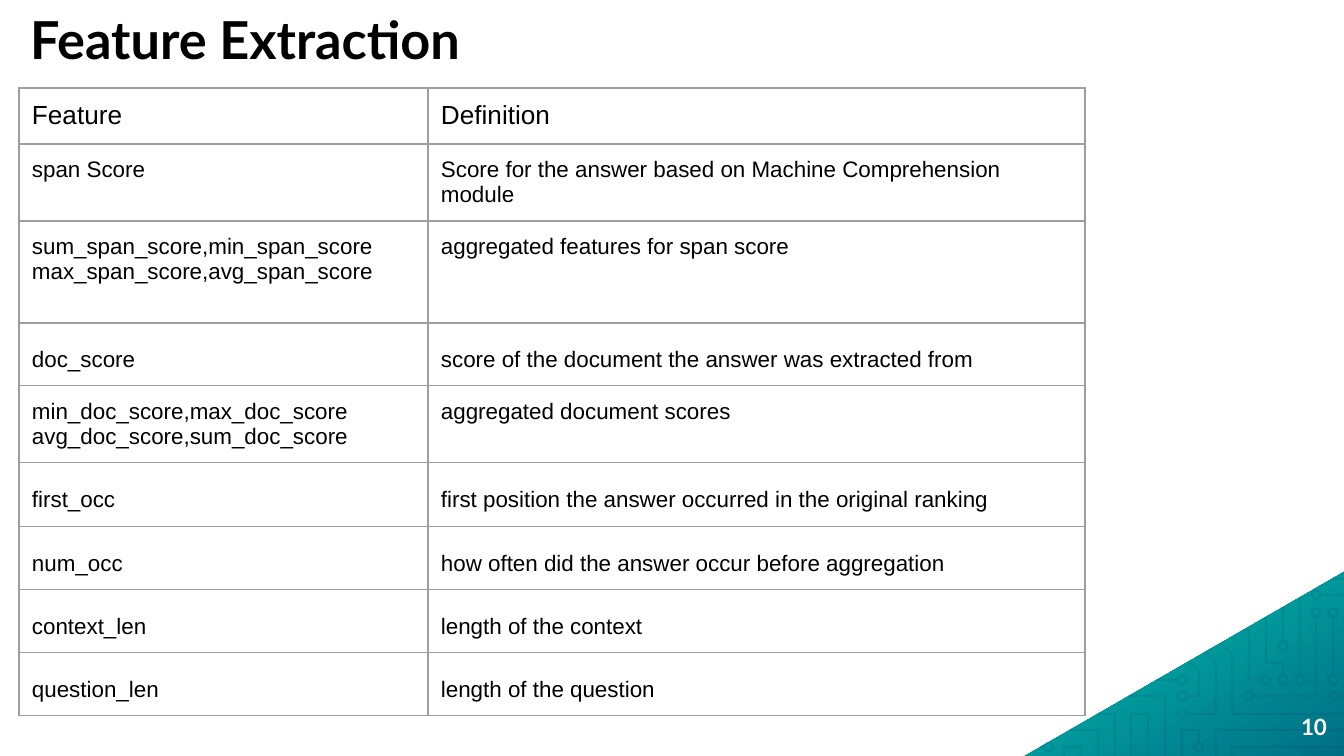
from math import cos, pi, sin
from lxml.etree import SubElement
from pptx import Presentation
from pptx.dml.color import RGBColor
from pptx.enum.text import MSO_ANCHOR as Anchor, MSO_AUTO_SIZE as AutoSize, PP_ALIGN as Align
from pptx.oxml.ns import qn
from pptx.util import Emu, Pt

PX = 914400 / 134.4

ROWS = [
    (56, "Feature", "Definition"),
    (77, "span Score", "Score for the answer based on Machine Comprehension module"),
    (102, "sum_span_score,min_span_score\nmax_span_score,avg_span_score",
     "aggregated features for span score"),
    (63, "doc_score", "score of the document the answer was extracted from"),
    (77, "min_doc_score,max_doc_score\navg_doc_score,sum_doc_score",
     "aggregated document scores"),
    (64, "first_occ", "first position the answer occurred in the original ranking"),
    (63, "num_occ", "how often did the answer occur before aggregation"),
    (63, "context_len", "length of the context"),
    (63, "question_len", "length of the question"),
]
SPACED = {"doc_score", "first_occ", "num_occ", "context_len", "question_len"}

TRIANGLE = [(1344, 572), (1025, 756), (1344, 756)]
TRACES = [
    [(1338, 696), (1344, 696)],
    [(1283, 675), (1283, 663), (1266, 663), (1266, 618)],
    [(1261, 680), (1249, 680), (1249, 630), (1243, 630)],
    [(1283, 641), (1283, 607)],
    [(1232, 756), (1232, 747), (1344, 747)],
    [(1331, 579), (1344, 579)],
    [(1321, 595), (1344, 595)],
    [(1300, 675), (1300, 598)],
    [(1333, 675), (1333, 618)],
    [(1254, 696), (1316, 696), (1316, 618)],
    [(1187, 696), (1199, 696), (1199, 671), (1189, 662)],
    [(1131, 756), (1131, 714), (1148, 714), (1148, 756)],
    [(1128, 696), (1165, 696), (1165, 756)],
    [(1221, 643), (1232, 655), (1232, 714), (1344, 714)],
    [(1199, 742), (1199, 730), (1182, 730), (1182, 756)],
    [(1216, 756), (1216, 730), (1344, 730)],
    [(1187, 714), (1216, 714), (1216, 663), (1205, 652)],
    [(1043, 747), (1040, 747)],
    [(1098, 714), (1115, 714), (1115, 756)],
    [(1177, 680), (1156, 680)],
    [(1064, 756), (1064, 747), (1081, 747), (1081, 756)],
    [(1069, 730), (1098, 730), (1098, 756)],
]
PADS = [(1333, 696), (1283, 680), (1266, 680), (1283, 646), (1316, 595),
        (1300, 680), (1333, 680), (1333, 613), (1249, 696), (1316, 613),
        (1182, 696), (1199, 747), (1182, 714), (1048, 747), (1182, 680)]


def px(n):
    return Emu(round(n * PX))


def color(value):
    return RGBColor.from_string(value)


def ring(x, y, radius=4, steps=16):
    angles = [2 * pi * i / steps for i in range(steps + 1)]
    return [(x + radius * cos(a), y + radius * sin(a)) for a in angles]


def write(tf, text, font="Arial", size=12, fill="000000", bold=False,
          align=Align.LEFT, spacing=None, after=None):
    for i, line in enumerate(text.split("\n")):
        p = tf.add_paragraph() if i else tf.paragraphs[0]
        p.alignment = align
        if spacing:
            p.line_spacing = spacing
        if after:
            p.space_after = Pt(after)
        r = p.add_run()
        r.text = line
        r.font.name, r.font.size, r.font.bold = font, Pt(size), bold
        r.font.color.rgb = color(fill)


class Deck:
    heading_font = "Lato"
    border = "9E9E9E"
    trace = "00226D"
    gradient = [(0, "00CCA0"), (50, "00989A"), (100, "006E85")]

    def __init__(self, width, height):
        self.prs = Presentation()
        self.prs.slide_width, self.prs.slide_height = px(width), px(height)
        self.s = self.prs.slides.add_slide(self.prs.slide_layouts[5])

    def frame(self, sp, anchor):
        tf = sp.text_frame
        tf.word_wrap, tf.auto_size, tf.vertical_anchor = True, AutoSize.NONE, anchor
        tf.margin_left = tf.margin_right = tf.margin_top = tf.margin_bottom = 0
        return tf

    def title(self, text, x, y, w, h):
        sp = self.s.shapes.title
        sp.left, sp.top, sp.width, sp.height = map(px, (x, y, w, h))
        write(self.frame(sp, Anchor.TOP), text, font=self.heading_font,
              size=28, bold=True, spacing=0.9)

    def number(self, text, x, y, w, h):
        sp = self.s.shapes.add_textbox(*map(px, (x, y, w, h)))
        write(self.frame(sp, Anchor.MIDDLE), text, font=self.heading_font, fill="FFFFFF",
              bold=True, align=Align.RIGHT, spacing=0.9)

    def outline(self, contours, close):
        (start, *rest), *others = contours
        fb = self.s.shapes.build_freeform(*start, scale=PX)
        fb.add_line_segments(rest, close=close)
        for first, *points in others:
            fb.move_to(*first)
            fb.add_line_segments(points, close=close)
        sp = fb.convert_to_shape()
        sp.shadow.inherit = False
        return sp

    def corner(self, points):
        sp = self.outline([points], True)
        sp.line.fill.background()
        sp.fill.gradient()
        sp.fill.gradient_angle = 300
        stops = sp._element.spPr.find(".//" + qn("a:gsLst"))
        stops.clear()
        for pos, value in self.gradient:
            gs = SubElement(stops, qn("a:gs"), pos=str(pos * 1000))
            SubElement(gs, qn("a:srgbClr"), val=value)

    def circuit(self, traces, pads):
        sp = self.outline(traces + [ring(x, y) for x, y in pads], False)
        sp.fill.background()
        sp.line.width = Pt(1.1)
        sp.line.color.rgb = color(self.trace)
        clr = sp._element.spPr.find(qn("a:ln")).find(".//" + qn("a:srgbClr"))
        SubElement(clr, qn("a:alpha"), val="10000")

    def cell(self, cell, text, **fmt):
        tc_pr = cell._tc.get_or_add_tcPr()
        for side in ("lnL", "lnR", "lnT", "lnB"):
            ln = SubElement(tc_pr, qn("a:" + side), w=str(Pt(0.75)))
            SubElement(SubElement(ln, qn("a:solidFill")), qn("a:srgbClr"), val=self.border)
        cell.fill.background()
        cell.margin_left = cell.margin_right = cell.margin_top = cell.margin_bottom = px(13)
        write(cell.text_frame, text, **fmt)

    def table(self, rows, widths, x, y):
        height = sum(row[0] for row in rows)
        tbl = self.s.shapes.add_table(
            len(rows), len(widths), *map(px, (x, y, sum(widths), height))).table
        tbl.first_row = tbl.horz_banding = False
        for col, w in zip(tbl.columns, widths):
            col.width = px(w)
        for i, (h, *texts) in enumerate(rows):
            tbl.rows[i].height = px(h)
            fmt = {"size": 12 if i else 14}
            if texts[0] in SPACED:
                fmt.update(spacing=1.45, after=12)
            for j, text in enumerate(texts):
                self.cell(tbl.cell(i, j), text, **fmt)


def main():
    deck = Deck(1344, 756)
    deck.corner(TRIANGLE)
    deck.circuit(TRACES, PADS)
    deck.title("Feature Extraction", 30, 14, 1093, 73)
    deck.number("10", 1246, 699, 81, 58)
    deck.table(ROWS, (409, 657), 19, 88)
    deck.prs.save("out.pptx")


if __name__ == "__main__":
    main()
